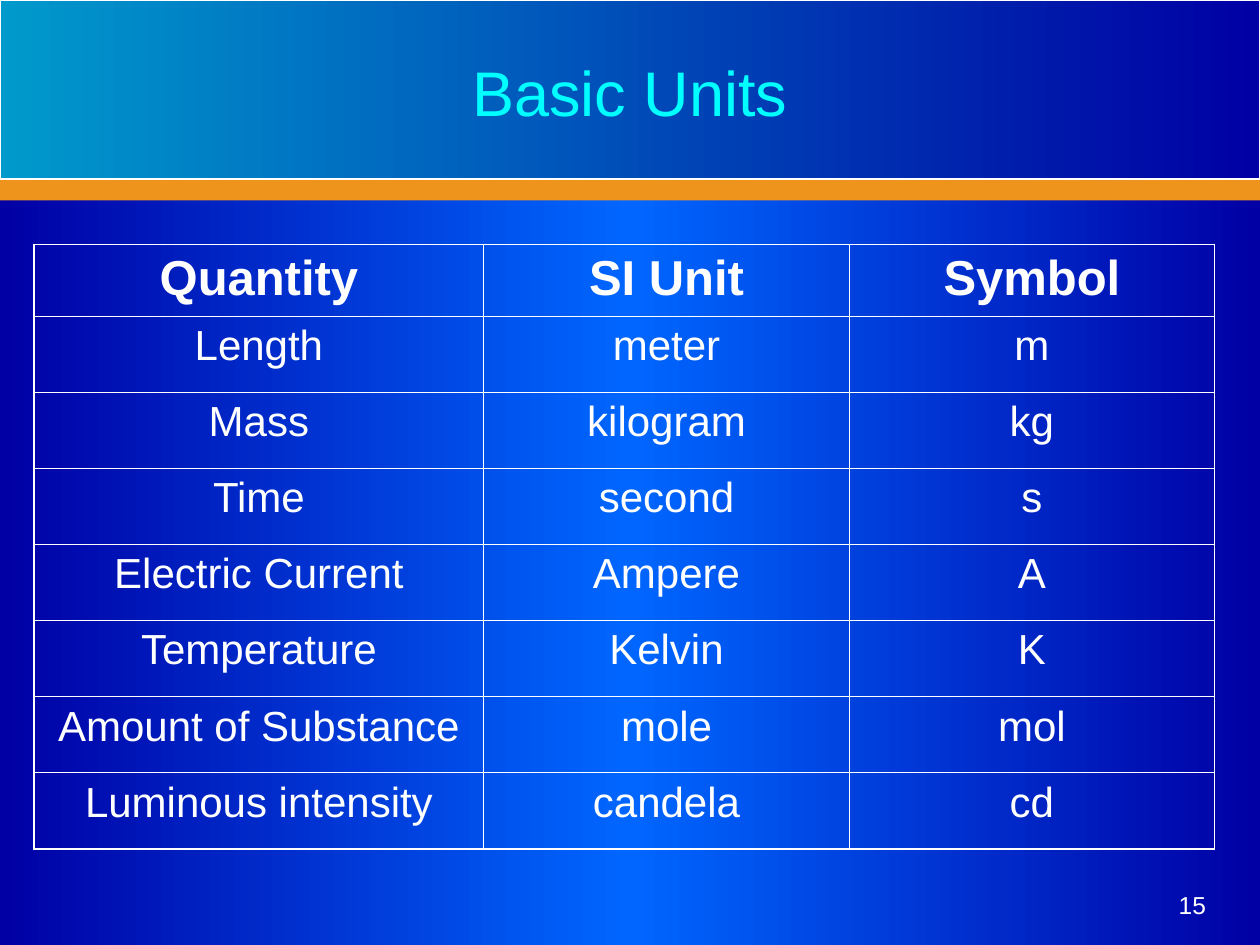
from copy import deepcopy

from lxml.etree import SubElement
from pptx import Presentation
from pptx.dml.color import RGBColor
from pptx.enum.shapes import MSO_SHAPE
from pptx.enum.text import MSO_ANCHOR, PP_ALIGN
from pptx.oxml.ns import qn
from pptx.util import Inches, Pt

NAVY = RGBColor(0x00, 0x00, 0xA4)
BLUE = RGBColor(0x00, 0x66, 0xFF)
TEAL = RGBColor(0x00, 0x99, 0xCC)
ORANGE = RGBColor(0xEE, 0x94, 0x1C)
CYAN = RGBColor(0x00, 0xFF, 0xFF)
WHITE = RGBColor(0xFF, 0xFF, 0xFF)

TITLE = "Basic Units"
PAGE_NUMBER = "15"
UNITS = [
    ("Quantity", "SI Unit", "Symbol"),
    ("Length", "meter", "m"),
    ("Mass", "kilogram", "kg"),
    ("Time", "second", "s"),
    ("Electric Current", "Ampere", "A"),
    ("Temperature", "Kelvin", "K"),
    ("Amount of Substance", "mole", "mol"),
    ("Luminous intensity", "candela", "cd"),
]

SLIDE_WIDTH, SLIDE_HEIGHT = 10, 7.5
BANNER_HEIGHT, STRIPE_HEIGHT = 1.42, 0.17
TABLE_LEFT, TABLE_TOP, TABLE_HEIGHT = 0.27, 1.94, 4.8
COLUMN_WIDTHS = [3.57, 2.9, 2.9]
HEADER_HEIGHT = 0.57
OUTER_BORDER, INNER_BORDER = Pt(1.08), Pt(0.45)

TITLE_FORMAT = {"name": "Arial", "size": Pt(36), "bold": False}
HEADER_FORMAT = {"name": "Arial", "size": Pt(28), "bold": True}
BODY_FORMAT = {"name": "Arial", "size": Pt(24), "bold": False}
NUMBER_FORMAT = {"name": "Arial", "size": Pt(14), "bold": False}


def write_text(text_frame, text, font_format, color, alignment):
    paragraph = text_frame.paragraphs[0]
    paragraph.alignment = alignment
    run = paragraph.add_run()
    run.text = text
    for attribute, value in font_format.items():
        setattr(run.font, attribute, value)
    run.font.color.rgb = color


def add_text(slide, box, text, font_format, color, alignment, anchor):
    text_frame = slide.shapes.add_textbox(*map(Inches, box)).text_frame
    text_frame.word_wrap = True
    text_frame.vertical_anchor = anchor
    write_text(text_frame, text, font_format, color, alignment)


def add_bar(slide, top, height):
    bar = slide.shapes.add_shape(
        MSO_SHAPE.RECTANGLE, 0, Inches(top), Inches(SLIDE_WIDTH), Inches(height)
    )
    bar.shadow.inherit = False
    return bar


def set_gradient(fill, parent, colors):
    fill.gradient()
    fill.gradient_angle = 180
    stop_list = next(parent.iter(qn("a:gsLst")))
    for _ in colors[2:]:
        stop_list.append(deepcopy(stop_list[-1]))
    for index, (stop, color) in enumerate(zip(fill.gradient_stops, colors)):
        stop.position = index / (len(colors) - 1)
        stop.color.rgb = color


def set_borders(cell, row, column):
    outer_sides = {
        "L": column == 0,
        "R": column == len(COLUMN_WIDTHS) - 1,
        "T": row == 0,
        "B": row == len(UNITS) - 1,
    }
    properties = cell._tc.get_or_add_tcPr()
    for side, is_outer in outer_sides.items():
        width = OUTER_BORDER if is_outer else INNER_BORDER
        line = SubElement(properties, qn(f"a:ln{side}"), w=str(int(width)))
        solid_fill = SubElement(line, qn("a:solidFill"))
        SubElement(solid_fill, qn("a:srgbClr"), val=str(WHITE))


def add_units_table(slide):
    table = slide.shapes.add_table(
        len(UNITS), len(COLUMN_WIDTHS), Inches(TABLE_LEFT), Inches(TABLE_TOP),
        Inches(sum(COLUMN_WIDTHS)), Inches(TABLE_HEIGHT),
    ).table
    table.first_row = False
    table.horz_banding = False
    for column, width in zip(table.columns, COLUMN_WIDTHS):
        column.width = Inches(width)
    body_height = (TABLE_HEIGHT - HEADER_HEIGHT) / (len(UNITS) - 1)
    for row, texts in enumerate(UNITS):
        table.rows[row].height = Inches(body_height if row else HEADER_HEIGHT)
        font_format = BODY_FORMAT if row else HEADER_FORMAT
        for column, text in enumerate(texts):
            cell = table.cell(row, column)
            set_borders(cell, row, column)
            cell.fill.background()
            cell.vertical_anchor = MSO_ANCHOR.TOP
            write_text(cell.text_frame, text, font_format, WHITE, PP_ALIGN.CENTER)


def main():
    presentation = Presentation()
    presentation.slide_width = Inches(SLIDE_WIDTH)
    presentation.slide_height = Inches(SLIDE_HEIGHT)
    slide = presentation.slides.add_slide(presentation.slide_layouts[6])
    set_gradient(slide.background.fill, slide.element, [NAVY, BLUE, NAVY])

    stripe = add_bar(slide, BANNER_HEIGHT, STRIPE_HEIGHT)
    stripe.fill.solid()
    stripe.fill.fore_color.rgb = ORANGE
    stripe.line.fill.background()

    banner = add_bar(slide, 0, BANNER_HEIGHT)
    set_gradient(banner.fill, banner.element, [NAVY, TEAL])
    banner.line.color.rgb = WHITE
    banner.line.width = Pt(0.75)

    add_text(slide, (0.25, 0, 9.5, 1.45), TITLE, TITLE_FORMAT, CYAN,
             PP_ALIGN.CENTER, MSO_ANCHOR.MIDDLE)
    add_units_table(slide)
    add_text(slide, (7.17, 6.83, 2.5, 0.52), PAGE_NUMBER, NUMBER_FORMAT, WHITE,
             PP_ALIGN.RIGHT, MSO_ANCHOR.BOTTOM)
    presentation.save("out.pptx")


if __name__ == "__main__":
    main()
